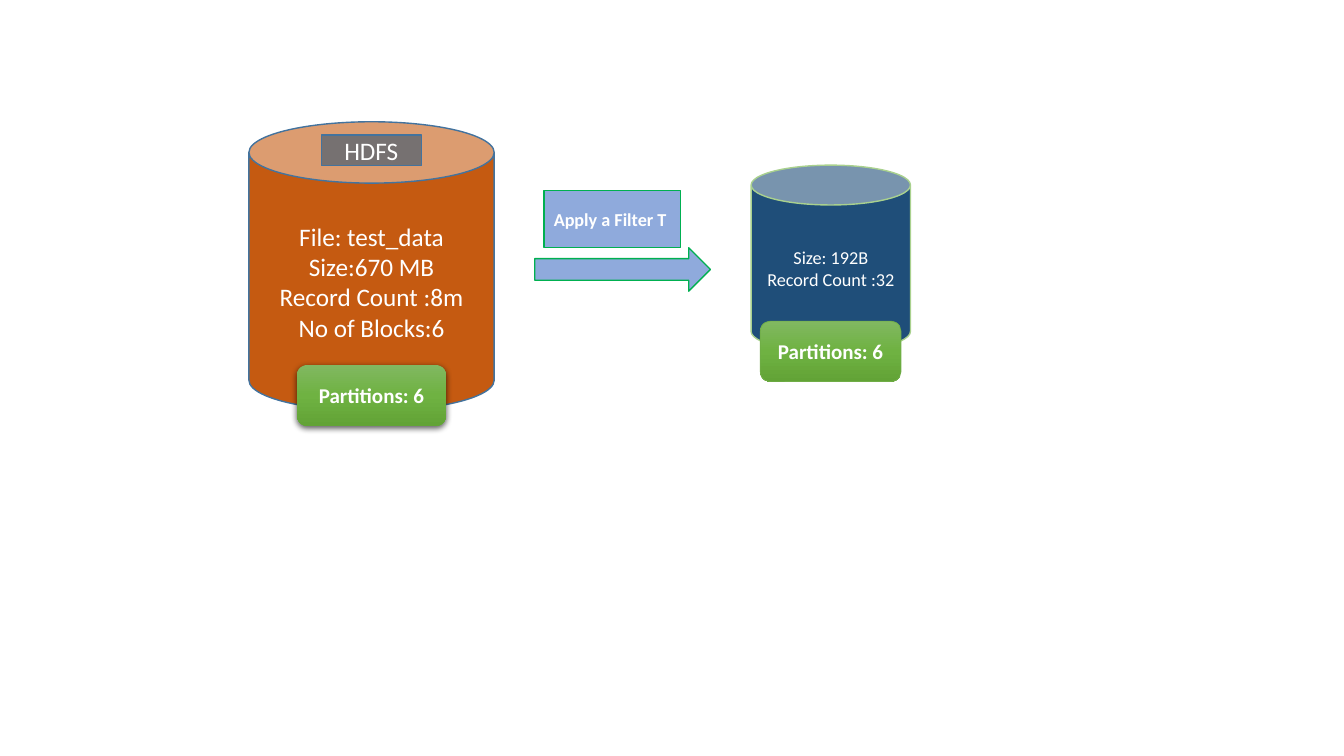
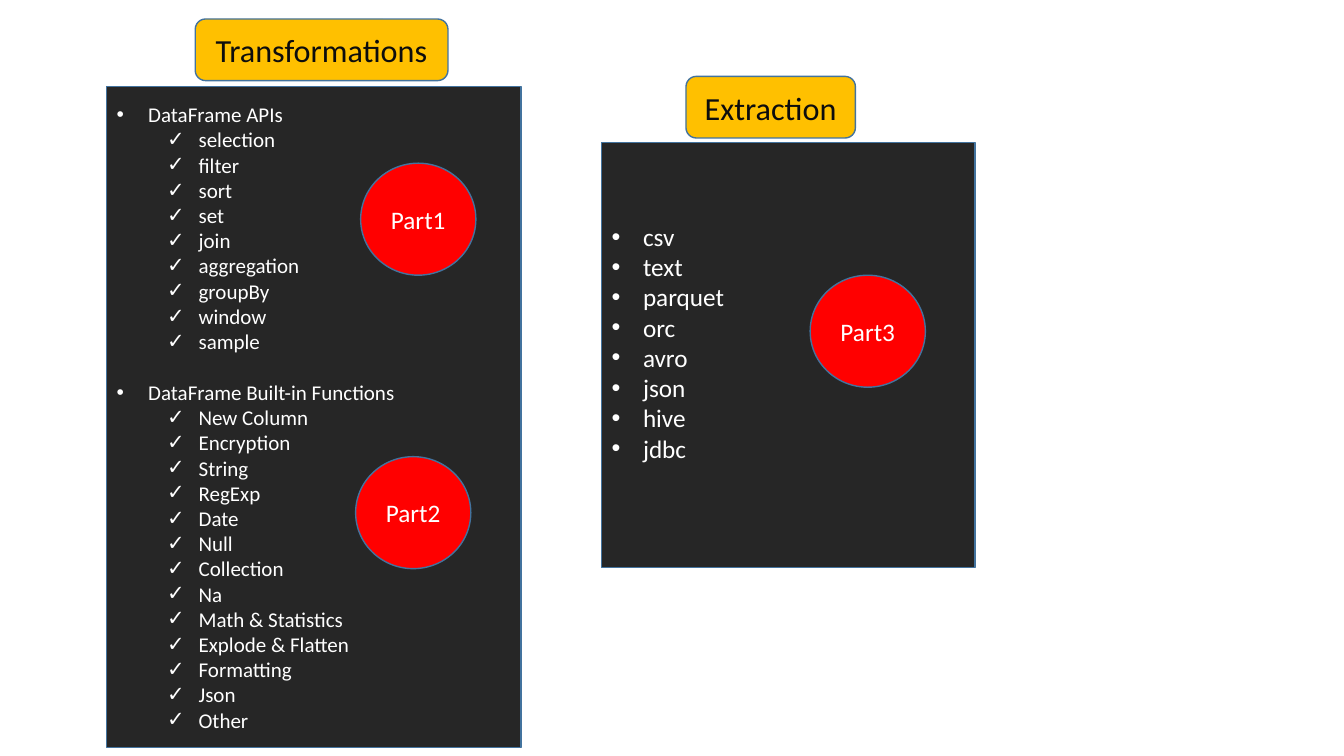
from dataclasses import dataclass

from lxml.etree import SubElement
from pptx import Presentation
from pptx.dml.color import RGBColor
from pptx.enum.shapes import MSO_SHAPE as Preset
from pptx.enum.text import MSO_ANCHOR as Anchor, PP_ALIGN as Align
from pptx.oxml.ns import qn
from pptx.shapes.autoshape import Shape
from pptx.slide import Slide
from pptx.util import Pt

FONT = "Calibri"
COLORS = {
    "white": "FFFFFF", "ink": "0D0D0D", "outline": "43739E",
    "orange": "C55A11", "grey": "767171", "navy": "1F4E79", "lime": "A9D18E",
    "sky": "8FAADC", "green": "00B050", "leaf": "70AD47",
    "panel": "262626", "gold": "FFC000", "red": "FF0000", "black": "000000",
    "leaf_top": "81B861", "leaf_mid": "6FB242", "leaf_low": "62A336",
}
LEAF_STOPS = ((0, "leaf_top"), (50, "leaf_mid"), (100, "leaf_low"))
INDENT_STEP = 36
HANGING = 22.5
LINE_RATIO = 1.22


@dataclass(frozen=True)
class Look:
    preset: Preset
    fill: str
    line: str | None = "outline"
    weight: float = 1
    size: float = 18
    color: str = "white"
    bold: bool = False
    align: Align = Align.CENTER
    shadow: bool = False


@dataclass(frozen=True)
class Box:
    left: float
    top: float
    width: float
    height: float


@dataclass(frozen=True)
class Item:
    text: str
    level: int | None = None
    gap: float = 0


SOURCE = Look(Preset.CAN, "orange")
STORE_LABEL = Look(Preset.RECTANGLE, "grey")
ARROW = Look(Preset.RIGHT_ARROW, "sky", "green")
STEP = Look(Preset.RECTANGLE, "sky", "green", size=13, bold=True, align=Align.LEFT)
RESULT = Look(Preset.CAN, "navy", "lime", size=13)
SOURCE_PARTITIONS = Look(Preset.ROUNDED_RECTANGLE, "leaf", None, size=15, bold=True, shadow=True)
RESULT_PARTITIONS = Look(Preset.ROUNDED_RECTANGLE, "leaf", "leaf", 0.5, size=15, bold=True)
HEADING = Look(Preset.ROUNDED_RECTANGLE, "gold", size=23, color="ink")
API_PANEL = Look(Preset.RECTANGLE, "panel", size=15, align=Align.LEFT)
FORMAT_PANEL = Look(Preset.RECTANGLE, "panel", align=Align.LEFT)
PART = Look(Preset.OVAL, "red")

API_GROUPS = {
    "DataFrame APIs": (
        "selection", "filter", "sort", "set", "join", "aggregation",
        "groupBy", "window", "sample",
    ),
    "DataFrame Built-in Functions": (
        "New Column", "Encryption", "String", "RegExp", "Date", "Null",
        "Collection", "Na", "Math & Statistics", "Explode & Flatten",
        "Formatting", "Json", "Other",
    ),
}
FORMATS = ("csv", "text", "parquet", "orc", "avro", "json", "hive", "jdbc")


def rgb(name: str) -> RGBColor:
    return RGBColor.from_string(COLORS[name])


def paint_leaf(shape: Shape) -> None:
    shape.fill.gradient()
    shape.fill.gradient_angle = 270
    stops = shape._element.spPr.find(".//" + qn("a:gsLst"))
    for old in list(stops):
        stops.remove(old)
    for percent, name in LEAF_STOPS:
        stop = SubElement(stops, qn("a:gs"), pos=str(percent * 1000))
        SubElement(stop, qn("a:srgbClr"), val=COLORS[name])


def cast_shadow(shape: Shape) -> None:
    effects = shape._element.spPr.find(qn("a:effectLst"))
    outer = SubElement(
        effects, qn("a:outerShdw"), blurRad=str(Pt(4.5)), dist=str(Pt(1.5)),
        dir="5400000", algn="ctr", rotWithShape="0",
    )
    tint = SubElement(outer, qn("a:srgbClr"), val=COLORS["black"])
    SubElement(tint, qn("a:alpha"), val="63000")


def write(shape: Shape, look: Look, items: list[Item]) -> None:
    frame = shape.text_frame
    frame.word_wrap = True
    frame.vertical_anchor = Anchor.MIDDLE
    for index, item in enumerate(items):
        paragraph = frame.add_paragraph() if index else frame.paragraphs[0]
        paragraph.alignment = look.align
        if item.gap:
            paragraph.space_before = Pt(item.gap)
        if item.level is not None:
            paragraph.level = item.level
            props = paragraph._p.get_or_add_pPr()
            props.set("marL", str(Pt(HANGING + item.level * INDENT_STEP)))
            props.set("indent", str(Pt(-HANGING)))
            SubElement(props, qn("a:buFont"), typeface="Arial")
            SubElement(props, qn("a:buChar"), char="•✓"[item.level])
        run = paragraph.add_run()
        run.text = item.text
        run.font.name = FONT
        run.font.size = Pt(look.size)
        run.font.bold = look.bold
        run.font.color.rgb = rgb(look.color)


def draw(slide: Slide, look: Look, box: Box, *items: Item | str) -> Shape:
    shape = slide.shapes.add_shape(
        look.preset, Pt(box.left), Pt(box.top), Pt(box.width), Pt(box.height)
    )
    shape.shadow.inherit = False
    if look.fill == "leaf":
        paint_leaf(shape)
    else:
        shape.fill.solid()
        shape.fill.fore_color.rgb = rgb(look.fill)
    if look.line:
        shape.line.color.rgb = rgb(look.line)
        shape.line.width = Pt(look.weight)
    else:
        shape.line.fill.background()
    if look.shadow:
        cast_shadow(shape)
    write(shape, look, [Item(i) if isinstance(i, str) else i for i in items])
    return shape


def api_items() -> list[Item]:
    items: list[Item] = []
    for title, names in API_GROUPS.items():
        gap = API_PANEL.size * LINE_RATIO if items else 0
        items.append(Item(title, 0, gap))
        items.extend(Item(name, 1) for name in names)
    return items


def build_filter(slide: Slide) -> None:
    draw(slide, SOURCE, Box(177.8, 87, 175.2, 206.5),
         "File: test_data", "Size:670 MB", "Record Count :8m", "No of Blocks:6")
    draw(slide, STORE_LABEL, Box(229.5, 96.5, 71.5, 21.7), "HDFS")
    draw(slide, ARROW, Box(382, 177, 125.5, 31))
    draw(slide, STEP, Box(388.5, 136, 97.5, 41), "Apply a Filter T")
    draw(slide, RESULT, Box(536.5, 118, 113.8, 133), "Size: 192B", "Record Count :32")
    draw(slide, SOURCE_PARTITIONS, Box(212.2, 260.7, 106.4, 43.4), "Partitions: 6")
    draw(slide, RESULT_PARTITIONS, Box(543, 229.4, 100.6, 43.2), "Partitions: 6")


def build_topics(slide: Slide) -> None:
    draw(slide, API_PANEL, Box(76.3, 62, 296, 471.8), *api_items())
    formats = draw(slide, FORMAT_PANEL, Box(429.7, 101.7, 266.7, 303.8),
                   *(Item(name, 0) for name in FORMATS))
    formats.text_frame.margin_bottom = Pt(22)
    draw(slide, HEADING, Box(139.5, 13.6, 180.5, 44), "Transformations")
    draw(slide, HEADING, Box(490, 54.6, 121, 44), "Extraction")
    for number, (left, top) in enumerate(((257.6, 116.6), (254, 326.2), (578.7, 196.6)), 1):
        draw(slide, PART, Box(left, top, 82.3, 80), f"Part{number}")


def main() -> None:
    deck = Presentation()
    deck.slide_width, deck.slide_height = Pt(960), Pt(540)
    for build in (build_filter, build_topics):
        build(deck.slides.add_slide(deck.slide_layouts[6]))
    deck.save("out.pptx")


if __name__ == "__main__":
    main()
